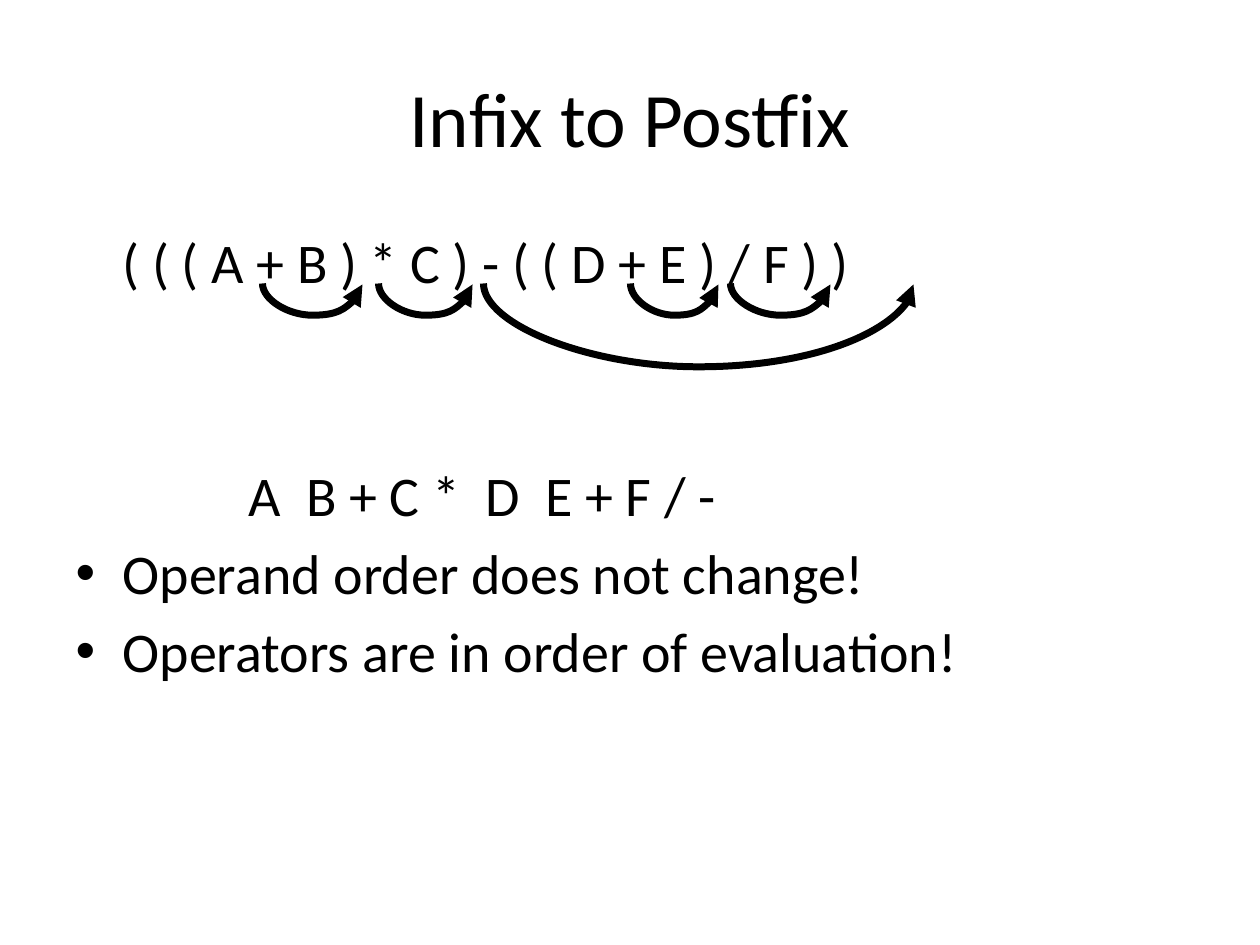
"""Build the Infix to Postfix slide with arrows from operators to their new places."""
from dataclasses import dataclass

from lxml import etree
from pptx import Presentation
from pptx.dml.color import RGBColor
from pptx.enum.shapes import MSO_CONNECTOR
from pptx.enum.text import MSO_ANCHOR, MSO_AUTO_SIZE, PP_ALIGN
from pptx.oxml.ns import qn
from pptx.util import Pt

CURVE = MSO_CONNECTOR.CURVE
TOP, MIDDLE = MSO_ANCHOR.TOP, MSO_ANCHOR.MIDDLE
LEFT, CENTER = PP_ALIGN.LEFT, PP_ALIGN.CENTER
NO_AUTOFIT = MSO_AUTO_SIZE.NONE
PX = 914400 / 126


@dataclass(frozen=True)
class Theme:
    ink: RGBColor = RGBColor(0, 0, 0)
    font: str = "Calibri"
    title_size: int = 44
    body_size: int = 32
    arrow_width: int = 4


def px(length):
    return round(length * PX)


def format_placeholder(shape, box, anchor):
    for name, value in zip(("left", "top", "width", "height"), box):
        setattr(shape, name, px(value))
    frame_format = {"auto_size": NO_AUTOFIT, "word_wrap": True, "vertical_anchor": anchor}
    for name, value in frame_format.items():
        setattr(shape.text_frame, name, value)


theme = Theme()
presentation = Presentation()
presentation.slide_width, presentation.slide_height = px(1260), px(945)
slide = presentation.slides.add_slide(presentation.slide_layouts[1])
title, body = slide.placeholders

format_placeholder(title, (63, 38, 1134, 158), MIDDLE)
title.text_frame.text = "Infix to Postfix"
title.text_frame.paragraphs[0].alignment = CENTER

format_placeholder(body, (63, 221, 1134, 624), TOP)
lines = [
    ("( ( ( A + B ) * C ) - ( ( D + E ) / F ) )", 47, None, 0),
    ("A  B + C *  D  E + F / -", 173, None, 95),
    ("Operand order does not change!", 47, "•", 6),
    ("Operators are in order of evaluation!", 47, "•", 6),
]
body.text_frame.text = "\n".join(text for text, *_ in lines)
for paragraph, (_, margin, bullet, space) in zip(body.text_frame.paragraphs, lines):
    properties = paragraph._p.get_or_add_pPr()
    properties.set("marL", str(px(margin)))
    properties.set("indent", str(px(-margin if bullet else 0)))
    if bullet:
        etree.SubElement(properties, qn("a:buChar")).set("char", bullet)
    else:
        etree.SubElement(properties, qn("a:buNone"))
    paragraph.alignment = LEFT
    paragraph.space_before = Pt(space)

for shape, size in ((title, theme.title_size), (body, theme.body_size)):
    for paragraph in shape.text_frame.paragraphs:
        for run in paragraph.runs:
            for name, value in {"name": theme.font, "size": Pt(size)}.items():
                setattr(run.font, name, value)
            run.font.color.rgb = theme.ink

arrow_top = 284
arrows = [(262, 362, 32), (378, 472, 32), (630, 718, 32), (730, 830, 32), (483, 913, 84)]
for start, end, depth in arrows:
    center, half = (start + end) / 2, (end - start) / 2
    connector = slide.shapes.add_connector(
        CURVE, px(center + 1), px(arrow_top - half), px(center), px(arrow_top + half)
    )
    connector.line.color.rgb = theme.ink
    connector.line.width = Pt(theme.arrow_width)
    properties = connector._element.spPr
    properties.find(qn("a:xfrm")).set("rot", "16200000")
    adjustments = properties.find(qn("a:prstGeom")).find(qn("a:avLst"))
    guide = etree.SubElement(adjustments, qn("a:gd"))
    guide.set("name", "adj1")
    guide.set("fmla", f"val {depth * 100000}")
    etree.SubElement(properties.find(qn("a:ln")), qn("a:tailEnd")).set("type", "triangle")
    etree.SubElement(properties, qn("a:effectLst"))

presentation.save("out.pptx")
